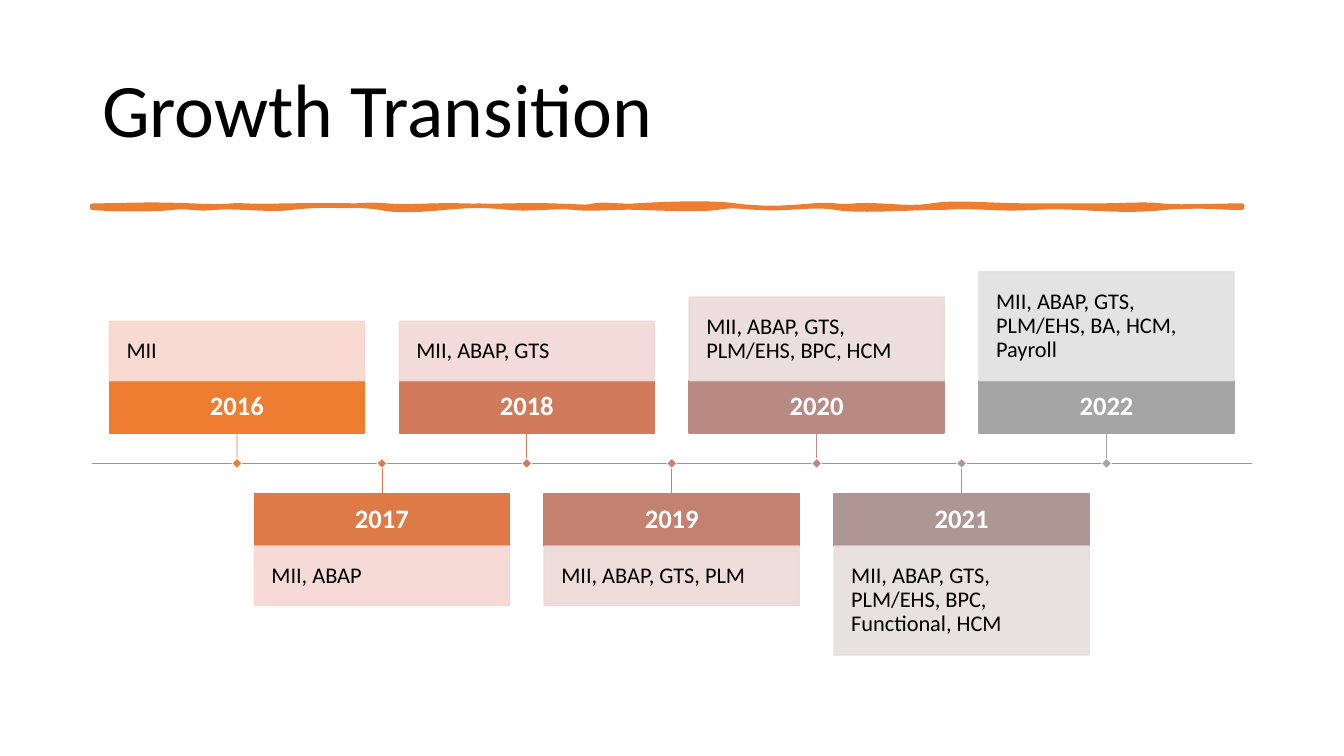
from lxml.etree import SubElement
from pptx import Presentation
from pptx.dml.color import RGBColor as RGB
from pptx.enum.shapes import MSO_CONNECTOR as LINK, MSO_SHAPE as SHAPE
from pptx.enum.text import MSO_ANCHOR as ANCHOR, PP_ALIGN as ALIGN
from pptx.oxml.ns import qn
from pptx.util import Inches, Pt

WIDE, HIGH = 13.33, 7.5
SPAN = 11.5                    # content width
LEFT = (WIDE - SPAN) / 2
COL = SPAN / 8                 # distance between two years
AXIS = 0.613 * HIGH            # height of the time axis
STEM, BAR, CARD = 0.3, 0.52, 2.53
PAD, DOT = 0.17, 0.07

FONT = "Calibri"
BLACK = RGB(0, 0, 0)
WHITE = RGB(0xFF, 0xFF, 0xFF)
ORANGE = RGB(0xED, 0x7D, 0x31)

# Year, skills, height of the skill box, strong colour, pale colour
YEARS = [
    ("2016", "MII", 0.59, ORANGE, RGB(0xF8, 0xD7, 0xCE)),
    ("2017", "MII, ABAP", 0.59, RGB(0xDE, 0x7A, 0x47), RGB(0xF4, 0xD7, 0xD1)),
    ("2018", "MII, ABAP, GTS", 0.59, RGB(0xD1, 0x7B, 0x5C), RGB(0xF1, 0xD8, 0xD4)),
    ("2019", "MII, ABAP, GTS, PLM", 0.59, RGB(0xC4, 0x81, 0x70), RGB(0xED, 0xD9, 0xD7)),
    ("2020", "MII, ABAP, GTS, PLM/EHS, BPC, HCM", 0.83,
     RGB(0xB9, 0x8A, 0x82), RGB(0xE9, 0xDB, 0xDA)),
    ("2021", "MII, ABAP, GTS, PLM/EHS, BPC, Functional, HCM", 1.08,
     RGB(0xAE, 0x96, 0x94), RGB(0xE5, 0xDE, 0xDD)),
    ("2022", "MII, ABAP, GTS, PLM/EHS, BA, HCM, Payroll", 1.08,
     RGB(0xA5, 0xA5, 0xA5), RGB(0xE1, 0xE1, 0xE1)),
]

# Brush stroke edges: x and bend of two handles, then x of the end point
TOP, BASE = 2.04, 2.06
UPPER = [
    (1.19, 0, 1.44, -0.02, 1.9), (2.37, 0.02, 2.2, -0.01, 2.44),
    (2.67, 0.01, 3.03, -0.01, 3.31), (3.6, 0.01, 3.59, -0.02, 3.84),
    (4.1, 0.02, 4.23, -0.01, 4.6), (4.98, 0.01, 5.14, -0.01, 5.48),
    (5.81, 0.01, 5.81, 0.02, 5.89), (5.98, -0.02, 6.15, 0.01, 6.31),
    (6.47, -0.01, 7.01, -0.04, 7.3), (7.59, 0.04, 7.81, 0.02, 8.06),
    (8.31, -0.02, 8.27, 0.02, 8.48), (8.68, -0.02, 9.01, 0.04, 9.24),
    (9.47, -0.04, 9.82, 0, 10.23), (10.63, 0, 10.63, 0, 10.87),
    (11.12, 0, 11.36, -0.02, 11.52), (11.68, 0.02, 12.03, 0, 12.32),
]
LOWER = [
    (12.32, 0, 12.32, 0, 12.32),
    (12.05, 0, 11.89, -0.03, 11.56), (11.22, 0.03, 11.1, 0.02, 10.68),
    (10.27, -0.02, 10.23, 0.02, 9.81), (9.39, -0.02, 9.52, 0, 9.28),
    (9.04, 0, 8.51, 0.04, 8.29), (8.06, -0.04, 7.82, 0.02, 7.53),
    (7.24, -0.02, 7.25, -0.02, 7.11), (6.98, 0.02, 6.61, 0.01, 6.35),
    (6.09, -0.01, 5.9, 0.02, 5.7), (5.51, -0.02, 5.28, 0.02, 5.06),
    (4.83, -0.02, 4.73, -0.03, 4.41), (4.09, 0.03, 3.9, 0.03, 3.77),
    (3.63, -0.03, 3.1, -0.03, 2.89), (2.68, 0.03, 2.35, -0.02, 2.13),
    (1.92, 0.02, 1.89, -0.02, 1.71), (1.54, 0.02, 1.14, 0.02, LEFT),
]


def write(shape, words, size, color=BLACK, bold=False, align=ALIGN.LEFT, inset=None):
    frame = shape.text_frame
    frame.word_wrap = True
    frame.vertical_anchor = ANCHOR.MIDDLE
    if inset is not None:
        frame.margin_left = frame.margin_right = Inches(inset)
        frame.margin_top = frame.margin_bottom = Inches(inset)
    para = frame.paragraphs[0]
    para.alignment, para.line_spacing = align, 0.9
    run = para.add_run()
    run.text = words
    font = run.font
    font.name, font.size, font.bold = FONT, Pt(size), bold
    font.color.rgb = color


def paint(shape, fill, line, weight):
    shape.shadow.inherit = False
    shape.fill.solid()
    shape.fill.fore_color.rgb = fill
    shape.line.color.rgb = line
    shape.line.width = Pt(weight)


def box(slide, x, y, w, h, fill, line=None, weight=1):
    rect = slide.shapes.add_shape(SHAPE.RECTANGLE, *map(Inches, (x, y, w, h)))
    paint(rect, fill, line or fill, weight)
    return rect


def fade(shape, share):
    for tint in shape.element.spPr.iter(qn("a:srgbClr")):
        SubElement(tint, qn("a:alpha"), val=str(share * 1000))


def rule(slide, x1, y1, x2, y2, color, weight):
    line = slide.shapes.add_connector(LINK.STRAIGHT, *map(Inches, (x1, y1, x2, y2)))
    line.line.color.rgb = color
    line.line.width = Pt(weight)
    SubElement(line.element.spPr, qn("a:effectLst"))
    # The theme style would still cast a shadow
    line.element.remove(line.element.find(qn("p:style")))
    return line


def brush(slide):
    curves = [(TOP, *curve) for curve in UPPER] + [(BASE, *curve) for curve in LOWER]
    ends = [(Inches(curve[-1]), Inches(curve[0])) for curve in curves]
    form = slide.shapes.build_freeform(Inches(LEFT), Inches(TOP))
    form.add_line_segments(ends, close=True)
    shape = form.convert_to_shape()
    paint(shape, ORANGE, ORANGE, 3.25)
    # Bend each straight segment by its two handles
    steps = list(shape.element.spPr.iter(qn("a:lnTo")))
    for step, (level, x1, bend1, x2, bend2, _) in zip(steps, curves):
        step.tag = qn("a:cubicBezTo")
        for spot, (x, bend) in enumerate([(x1, bend1), (x2, bend2)]):
            point = SubElement(step, qn("a:pt"), x=str(Inches(x - LEFT)),
                               y=str(Inches(level + bend - TOP)))
            step.insert(spot, point)


def entry(slide, index, year, skills, height, strong, pale):
    x = LEFT + PAD + index * COL
    above = index % 2 == 0
    y = AXIS - STEM - BAR if above else AXIS + STEM
    bar = box(slide, x, y, CARD, BAR, strong)
    write(bar, year, 19, color=WHITE, bold=True, align=ALIGN.CENTER, inset=0.11)
    card = box(slide, x, y - height if above else y + BAR, CARD, height, pale)
    fade(card, 90)
    write(card, skills, 16, inset=PAD)
    # Stem from the year bar to its marker on the axis
    mid = x + CARD / 2
    stem = rule(slide, mid, AXIS - STEM if above else AXIS + STEM, mid, AXIS, strong, 0.5)
    stem.begin_connect(bar, 2 if above else 0)
    mark = box(slide, mid - DOT / 2, AXIS - DOT / 2, DOT, DOT, strong, WHITE, 0.5)
    mark.rotation = 45


def main():
    deck = Presentation()
    deck.slide_width, deck.slide_height = Inches(WIDE), Inches(HIGH)
    slide = deck.slides.add_slide(deck.slide_layouts[6])
    # Title and brush stroke
    title = slide.shapes.add_textbox(*map(Inches, (LEFT, 0.4, SPAN, 1.45)))
    write(title, "Growth Transition", 54)
    brush(slide)
    # Time axis with its years
    rule(slide, LEFT, AXIS, LEFT + SPAN, AXIS, ORANGE, 1)
    for index, item in enumerate(YEARS):
        entry(slide, index, *item)
    deck.save("out.pptx")


if __name__ == "__main__":
    main()
